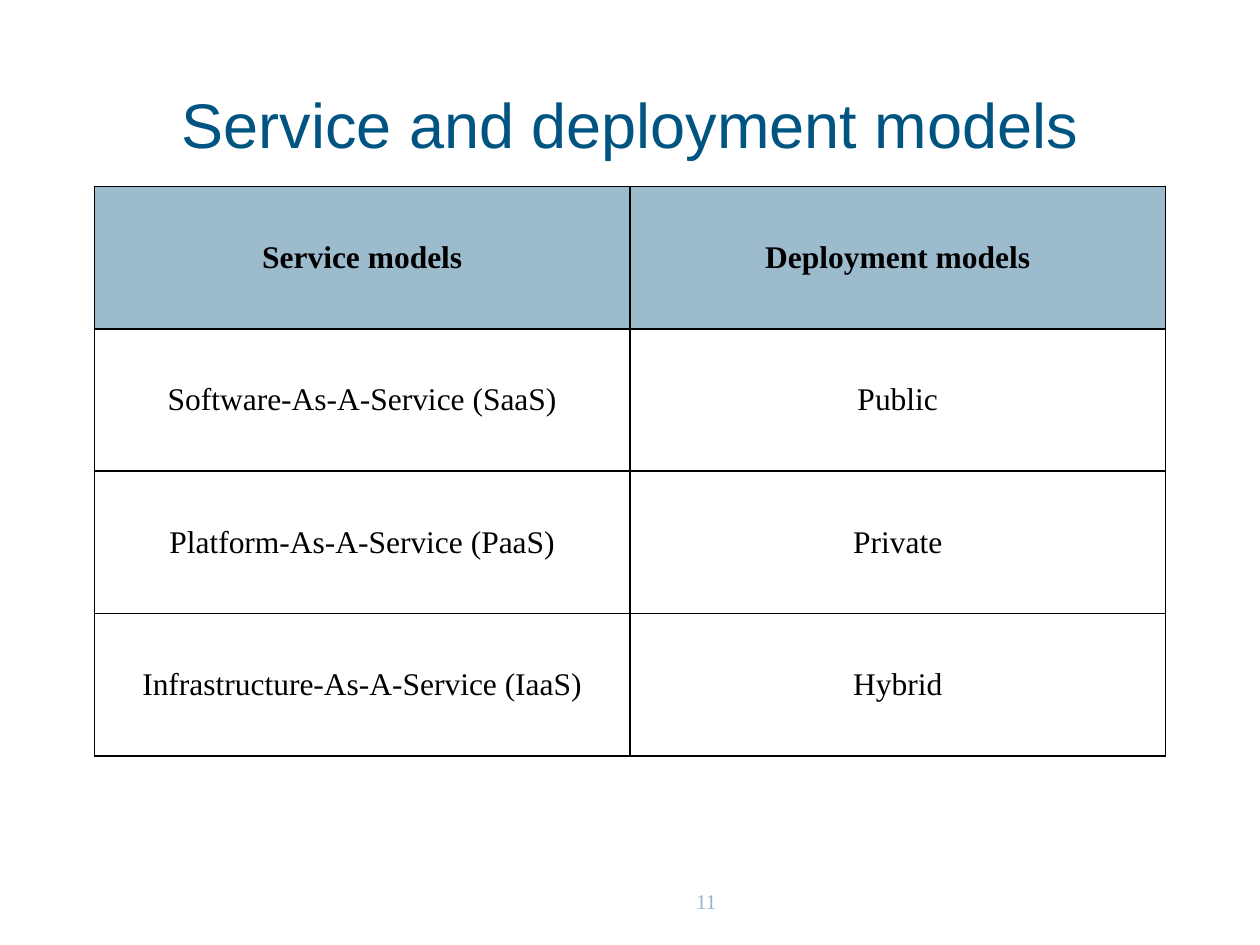
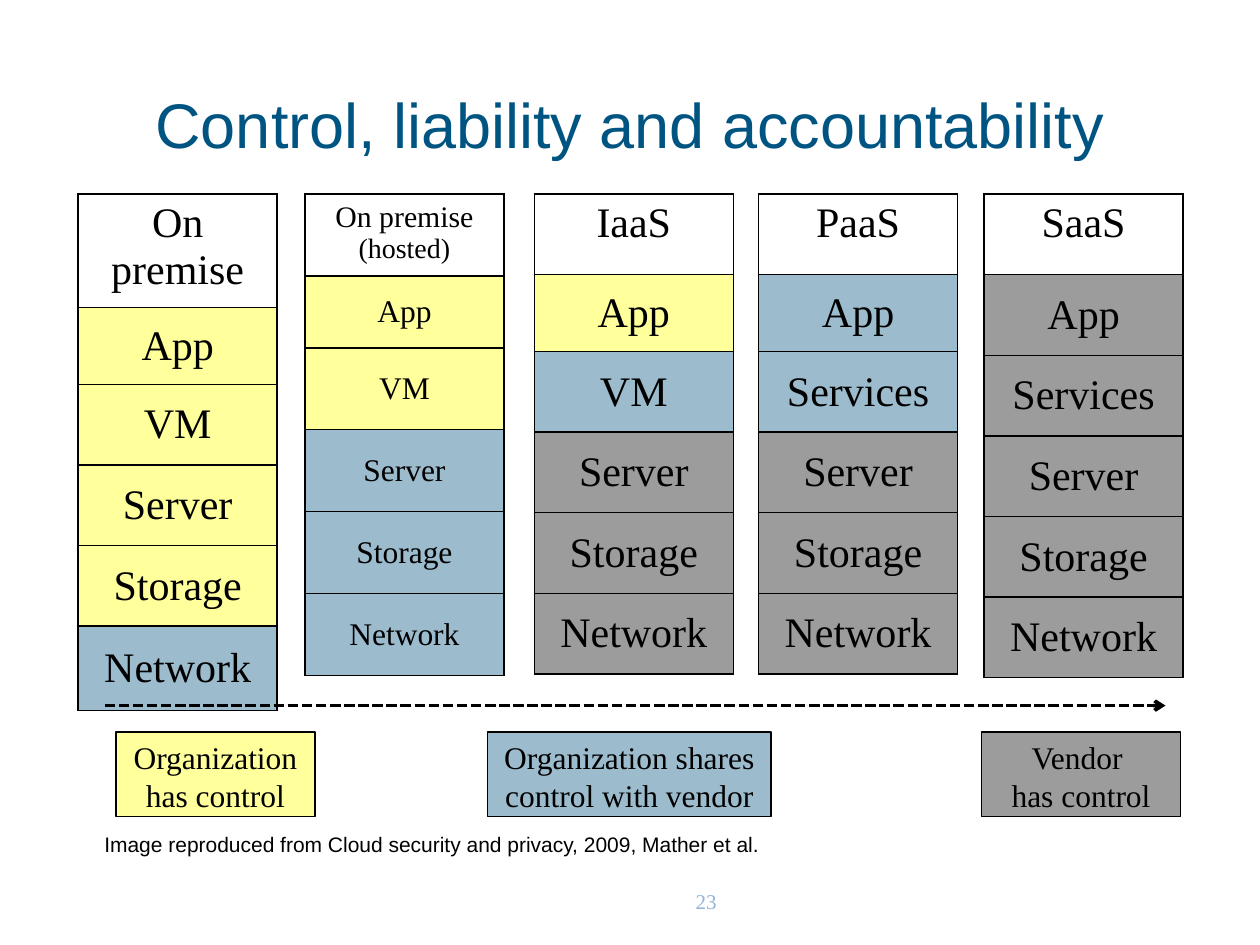
from dataclasses import dataclass

from lxml.etree import SubElement
from pptx import Presentation
from pptx.dml.color import RGBColor
from pptx.dml.fill import FillFormat
from pptx.enum.dml import MSO_LINE
from pptx.enum.shapes import MSO_CONNECTOR, MSO_SHAPE
from pptx.enum.text import MSO_ANCHOR, MSO_AUTO_SIZE, PP_ALIGN
from pptx.oxml import parse_xml
from pptx.oxml.ns import nsdecls, qn
from pptx.slide import Slide
from pptx.table import Table, _Cell
from pptx.util import Inches, Pt

# Shared look
BLUE, YELLOW, BLACK, PAGE_BLUE = "005481", "FFFF00", "000000", "95B3D7"
SANS, SERIF = "Arial", "Times New Roman"
TINT = 39  # opacity of every coloured area, in percent
ORGANIZATION, SHARED, VENDOR = YELLOW, BLUE, BLACK  # who has control


@dataclass
class Stack:
    left: float
    heading: str
    layers: list[str]
    owners: list[str]
    heights: list[float]
    heading_size: int = 24
    layer_size: int = 24
    heading_note: str = ""


@dataclass
class LegendBox:
    left: float
    width: float
    label: str
    owner: str


MODELS = [
    ("Service models", "Deployment models"),
    ("Software-As-A-Service (SaaS)", "Public"),
    ("Platform-As-A-Service (PaaS)", "Private"),
    ("Infrastructure-As-A-Service (IaaS)", "Hybrid"),
]

MACHINE_LAYERS = ["App", "VM", "Server", "Storage", "Network"]
SERVICE_LAYERS = ["App", "Services", "Server", "Storage", "Network"]
STACK_TOP, STACK_WIDTH = 1.54, 1.58
CLOUD_HEIGHTS = [0.64, 0.61] + [0.64] * 4

STACKS = [
    Stack(0.62, "On premise", MACHINE_LAYERS, [ORGANIZATION] * 4 + [SHARED],
          [0.64, 0.61, 0.64, 0.64, 0.64, 0.67]),
    Stack(2.42, "On premise ", MACHINE_LAYERS, [ORGANIZATION] * 2 + [SHARED] * 3,
          [0.65, 0.57] + [0.65] * 4, 17, 18, "(hosted)"),
    Stack(4.24, "IaaS", MACHINE_LAYERS, [ORGANIZATION, SHARED] + [VENDOR] * 3,
          CLOUD_HEIGHTS),
    Stack(6.02, "PaaS", SERVICE_LAYERS, [SHARED] * 2 + [VENDOR] * 3, CLOUD_HEIGHTS),
    Stack(7.81, "SaaS", SERVICE_LAYERS, [VENDOR] * 5, [0.64] * 6),
]

LEGEND = [
    LegendBox(0.92, 1.58, "Organization has control", ORGANIZATION),
    LegendBox(3.87, 2.25, "Organization shares control with vendor", SHARED),
    LegendBox(7.79, 1.58, "Vendor \nhas control", VENDOR),
]


def color(value: str) -> RGBColor:
    return RGBColor.from_string(value)


def write(paragraph, text: str, *, size: float = 18, font: str = SERIF,
          ink: str = BLACK, bold: bool = False, align=PP_ALIGN.CENTER) -> None:
    paragraph.alignment = align
    run = paragraph.add_run()
    run.text = text
    run.font.size = Pt(size)
    run.font.name = font
    run.font.bold = bold
    run.font.color.rgb = color(ink)


def tint(fill: FillFormat, value: str, properties) -> None:
    """Fill with a colour and make it partly transparent."""
    fill.solid()
    fill.fore_color.rgb = color(value)
    rgb = properties.find(qn("a:solidFill")).find(qn("a:srgbClr"))
    SubElement(rgb, qn("a:alpha")).set("val", str(TINT * 1000))


def format_cell(cell: _Cell, fill: str | None, anchor=MSO_ANCHOR.MIDDLE) -> None:
    cell.vertical_anchor = anchor
    properties = cell._tc.get_or_add_tcPr()
    if fill:
        tint(cell.fill, fill, properties)
    else:
        cell.fill.background()
    for position, side in enumerate(("lnL", "lnR", "lnT", "lnB")):
        properties.insert(position, parse_xml(
            f'<a:{side} {nsdecls("a")} w="12700"><a:solidFill>'
            f'<a:srgbClr val="{BLACK}"/></a:solidFill></a:{side}>'))


def add_grid(slide: Slide, left: float, top: float, widths: list[float],
             heights: list[float]) -> Table:
    table = slide.shapes.add_table(
        len(heights), len(widths), Inches(left), Inches(top),
        Inches(sum(widths)), Inches(sum(heights))).table
    table.first_row = table.horz_banding = False
    for column, width in zip(table.columns, widths):
        column.width = Inches(width)
    for row, height in zip(table.rows, heights):
        row.height = Inches(height)
    return table


def add_text(slide: Slide, left: float, top: float, width: float, height: float):
    frame = slide.shapes.add_textbox(
        Inches(left), Inches(top), Inches(width), Inches(height)).text_frame
    frame.word_wrap = True
    return frame.paragraphs[0]


def add_page(deck, heading: str, number: int) -> Slide:
    slide = deck.slides.add_slide(deck.slide_layouts[5])
    title = slide.shapes.title
    title.left, title.top = Inches(0.75), Inches(0.52)
    title.width, title.height = Inches(8.5), Inches(0.92)
    title.text_frame.auto_size = MSO_AUTO_SIZE.NONE
    title.text_frame.vertical_anchor = MSO_ANCHOR.MIDDLE
    write(title.text_frame.paragraphs[0], heading, size=36, font=SANS, ink=BLUE)
    write(add_text(slide, 5.31, 7, 0.59, 0.3), str(number), size=12, ink=PAGE_BLUE)
    return slide


def add_stack(slide: Slide, stack: Stack) -> None:
    table = add_grid(slide, stack.left, STACK_TOP, [STACK_WIDTH], stack.heights)
    heading = table.cell(0, 0)
    format_cell(heading, None, MSO_ANCHOR.TOP)
    paragraph = heading.text_frame.paragraphs[0]
    write(paragraph, stack.heading, size=stack.heading_size)
    if stack.heading_note:
        write(paragraph, stack.heading_note, size=16)
    for row, (layer, owner) in enumerate(zip(stack.layers, stack.owners), start=1):
        cell = table.cell(row, 0)
        format_cell(cell, owner)
        write(cell.text_frame.paragraphs[0], layer, size=stack.layer_size)


def add_legend_box(slide: Slide, item: LegendBox) -> None:
    box = slide.shapes.add_shape(MSO_SHAPE.RECTANGLE, Inches(item.left), Inches(5.81),
                                 Inches(item.width), Inches(0.67))
    box.shadow.inherit = False
    tint(box.fill, item.owner, box._element.spPr)
    box.line.color.rgb = color(BLACK)
    box.line.width = Pt(0.75)
    frame = box.text_frame
    frame.word_wrap = True
    frame.vertical_anchor = MSO_ANCHOR.TOP
    for index, line in enumerate(item.label.split("\n")):
        write(frame.add_paragraph() if index else frame.paragraphs[0], line)


def add_control_arrow(slide: Slide) -> None:
    arrow = slide.shapes.add_connector(MSO_CONNECTOR.STRAIGHT, Inches(0.83), Inches(5.6),
                                       Inches(9.25), Inches(5.6))
    arrow.line.color.rgb = color(BLACK)
    arrow.line.width = Pt(2)
    arrow.line.dash_style = MSO_LINE.SQUARE_DOT
    SubElement(arrow.line._get_or_add_ln(), qn("a:tailEnd")).set("type", "arrow")
    SubElement(arrow._element.spPr, qn("a:effectLst"))


def build_models(deck) -> None:
    slide = add_page(deck, "Service and deployment models", 11)
    table = add_grid(slide, 0.75, 1.48, [4.25] * 2, [1.13] * len(MODELS))
    for row, labels in enumerate(MODELS):
        is_header = row == 0
        for column, label in enumerate(labels):
            cell = table.cell(row, column)
            format_cell(cell, BLUE if is_header else None)
            write(cell.text_frame.paragraphs[0], label, bold=is_header)


def build_control(deck) -> None:
    slide = add_page(deck, "Control, liability and accountability", 23)
    for stack in STACKS:
        add_stack(slide, stack)
    add_control_arrow(slide)
    for item in LEGEND:
        add_legend_box(slide, item)
    # Source line
    credit = add_text(slide, 0.73, 6.55, 8.5, 0.31)
    credit.space_before = Pt(2.4)
    write(credit, "Image reproduced from Cloud security and privacy, 2009, Mather et al.",
          size=12, font=SANS, align=PP_ALIGN.LEFT)


def main() -> None:
    deck = Presentation()
    deck.slide_width, deck.slide_height = Inches(10), Inches(7.5)
    build_models(deck)
    build_control(deck)
    deck.save("out.pptx")


if __name__ == "__main__":
    main()
